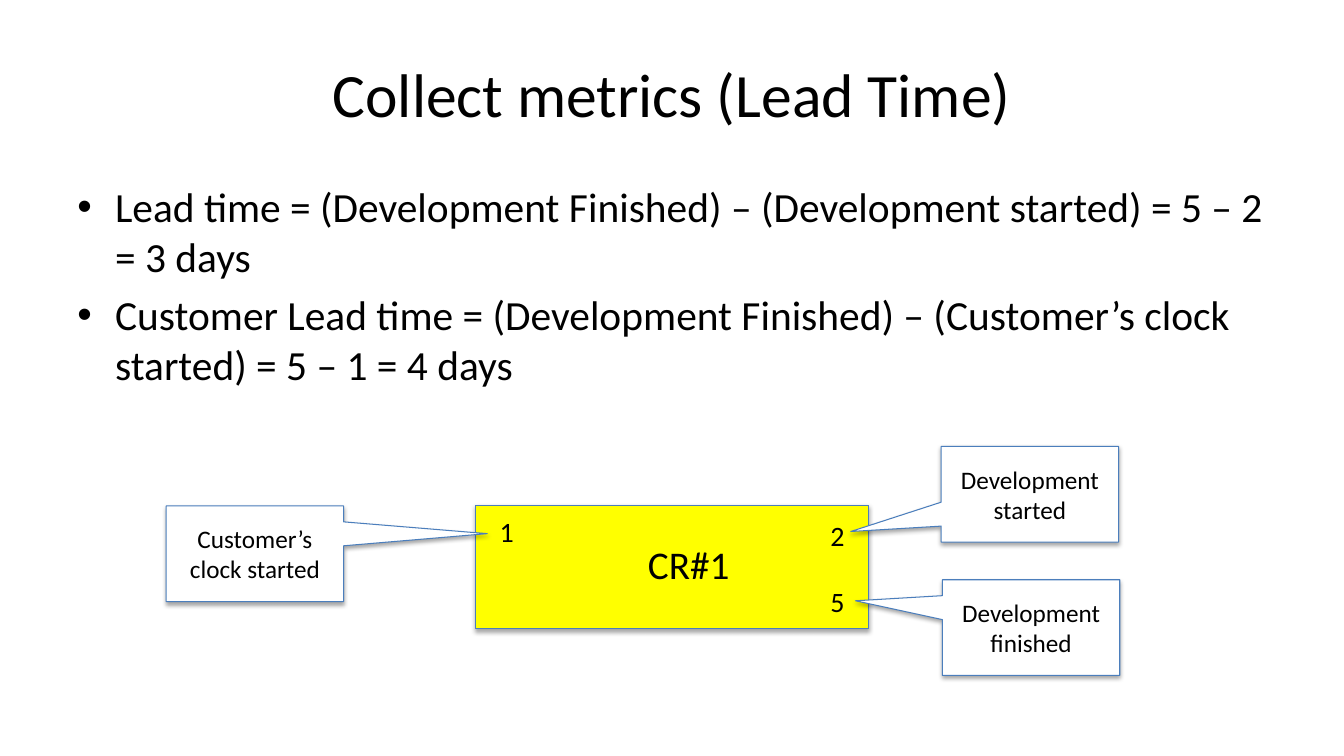
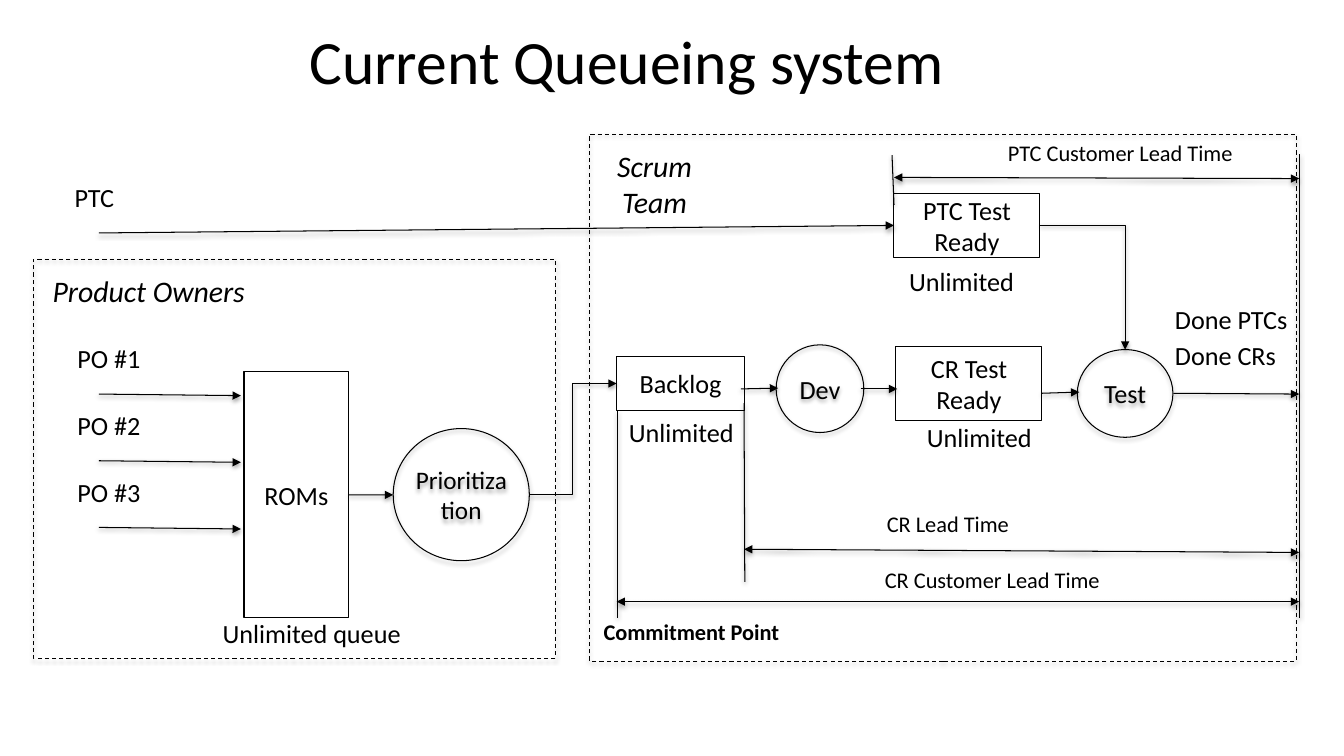
import dataclasses

import lxml.etree
import pptx
import pptx.dml.color
import pptx.enum.dml
import pptx.enum.shapes
import pptx.enum.text
import pptx.oxml
import pptx.oxml.ns
import pptx.util

Cm = pptx.util.Cm
Pt = pptx.util.Pt
RGB = pptx.dml.color.RGBColor.from_string
qn = pptx.oxml.ns.qn
SHAPE = pptx.enum.shapes.MSO_SHAPE
CONNECTOR = pptx.enum.shapes.MSO_CONNECTOR
ALIGN = pptx.enum.text.PP_ALIGN
ANCHOR = pptx.enum.text.MSO_ANCHOR
FIT = pptx.enum.text.MSO_AUTO_SIZE


@dataclasses.dataclass(frozen=True)
class Theme:
    font: str = "Calibri"
    ink: str = "000000"
    outline: str = "4B7EBC"
    card: str = "FFFF00"
    callout: str = "FFFFFF"
    title: float = 44
    body: float = 29.6
    card_name: float = 28
    zone: float = 21.3
    day: float = 20
    label: float = 18.7
    note: float = 18
    measure: float = 16
    line: float = 0.75
    shadow: str = (
        '<a:effectLst xmlns:a="http://schemas.openxmlformats.org/drawingml/2006/main">'
        '<a:outerShdw blurRad="40000" dist="{}" dir="5400000" rotWithShape="0">'
        '<a:srgbClr val="000000"><a:alpha val="{}"/></a:srgbClr>'
        "</a:outerShdw></a:effectLst>"
    )


theme = Theme()
LABEL = {"auto_size": FIT.SHAPE_TO_FIT_TEXT, "word_wrap": True}
TAG = {"auto_size": FIT.SHAPE_TO_FIT_TEXT, "word_wrap": False}
CENTRED = {"word_wrap": True, "vertical_anchor": ANCHOR.MIDDLE}
TIGHT = CENTRED | dict.fromkeys(
    ["margin_left", "margin_top", "margin_right", "margin_bottom"], 0)


def add_part(shapes, box, texts=(), size=theme.label, kind=None, frame=LABEL,
             align=ALIGN.LEFT, font=None, fill=None, outline=theme.ink, shadow=False):
    lengths = [Cm(value) for value in box]
    if kind is None:
        part = shapes.add_textbox(*lengths)
    else:
        part = shapes.add_shape(kind, *lengths)
        if fill:
            part.fill.solid()
            part.fill.fore_color.rgb = RGB(fill)
        else:
            part.fill.background()
        part.line.color.rgb = RGB(outline)
        part.line.width = Pt(theme.line)
        if shadow:
            part._element.spPr.append(pptx.oxml.parse_xml(theme.shadow.format(23000, 35000)))
        else:
            part.shadow.inherit = False
    for name, value in frame.items():
        setattr(part.text_frame, name, value)
    for index, text in enumerate(texts):
        paragraph = part.text_frame.add_paragraph() if index else part.text_frame.paragraphs[0]
        paragraph.alignment = align
        run = paragraph.add_run()
        run.text = text
        style = {"name": theme.font, "size": Pt(size)} | (font or {})
        for name, value in style.items():
            setattr(run.font, name, value)
        run.font.color.rgb = RGB(theme.ink)
    return part


def add_flow(shapes, begin, end, heads=("tailEnd",), kind=CONNECTOR.STRAIGHT):
    flow = shapes.add_connector(kind, *[Cm(value) for value in (*begin, *end)])
    flow.line.color.rgb = RGB(theme.ink)
    flow.line.width = Pt(theme.line)
    properties = flow._element.spPr
    for head in heads:
        lxml.etree.SubElement(properties.find(qn("a:ln")), qn(f"a:{head}"), type="triangle")
    properties.append(pptx.oxml.parse_xml(theme.shadow.format(20000, 38000)))
    return flow


deck = pptx.Presentation()
deck.slide_width, deck.slide_height = Cm(33.87), Cm(19.05)
pages = []
for title, left, top in [("Collect metrics (Lead Time)", 1.7, 0.76),
                         ("Current Queueing system", 0.56, -0.08)]:
    page = deck.slides.add_slide(deck.slide_layouts[6]).shapes
    add_part(page, (left, top, 30.48, 3.18), [title], theme.title,
             frame=CENTRED, align=ALIGN.CENTER)
    pages.append(page)
metrics, queueing = pages

formulas = add_part(metrics, (1.7, 4.45, 30.48, 4.9), [
    "Lead time = (Development Finished) – (Development started) = 5 – 2 = 3 days",
    "Customer Lead time = (Development Finished) – (Customer’s clock started) = 5 – 1 = 4 days",
], theme.body, frame={"word_wrap": True})
for index, formula in enumerate(formulas.text_frame.paragraphs):
    formula.space_before = Pt(5.9 if index else 0)
    layout = formula._p.get_or_add_pPr()
    layout.set("marL", str(Cm(0.95)))
    layout.set("indent", str(Cm(-0.95)))
    lxml.etree.SubElement(layout, qn("a:buFont"), typeface="Arial")
    lxml.etree.SubElement(layout, qn("a:buChar"), char="•")

change_request = metrics.add_group_shape().shapes
add_part(change_request, (11.99, 12.73, 9.91, 3.12), kind=SHAPE.RECTANGLE,
         fill=theme.card, outline=theme.outline, shadow=True)
for text, size, box in [
    ("CR#1", theme.card_name, (16.08, 13.49, 2.72, 1.45)),
    ("1", theme.day, (12.34, 12.83, 1.4, 1.12)),
    ("2", theme.day, (20.68, 12.93, 0.99, 1.12)),
    ("5", theme.day, (20.68, 14.61, 0.99, 1.12)),
]:
    add_part(change_request, box, [text], size)

for text, left, top, tip_x, tip_y in [
    ("Development started", 23.72, 11.25, -1.01, 0.39),
    ("Development finished", 23.75, 14.61, -0.99, -0.28),
    ("Customer’s clock started", 4.19, 12.75, 1.31, -0.21),
]:
    event = add_part(metrics, (left, top, 4.47, 2.41), [text], theme.note,
                     SHAPE.RECTANGULAR_CALLOUT, CENTRED, ALIGN.CENTER,
                     fill=theme.callout, outline=theme.outline, shadow=True)
    event.adjustments[0], event.adjustments[1] = tip_x, tip_y

for team, zone_box, name_box in [
    ("Product Owners", (0.84, 6.53, 13.16, 10.06), (0.84, 6.76, 5.82, 1.17)),
    ("Scrum Team", (14.86, 3.38, 17.81, 13.28), (14.96, 3.61, 3.07, 2.08)),
]:
    zone = add_part(queueing, zone_box, kind=SHAPE.RECTANGLE, shadow=True)
    zone.line.dash_style = pptx.enum.dml.MSO_LINE.DASH
    add_part(queueing, name_box, [team], theme.zone, align=ALIGN.CENTER, font={"italic": True})

queues = {}
for name, box in [
    ("ROMs", (6.15, 9.37, 2.64, 6.2)),
    ("Backlog", (15.54, 8.99, 3.23, 1.35)),
    ("CR Test Ready", (22.58, 8.74, 3.68, 1.85)),
    ("PTC Test Ready", (22.53, 4.88, 3.68, 1.6)),
]:
    queues[name] = add_part(queueing, box, [name], kind=SHAPE.RECTANGLE,
                            frame=CENTRED, align=ALIGN.CENTER)

activities = {}
for name, size, box in [
    ("Prioritization", theme.note, (9.91, 10.8, 3.43, 3.33)),
    ("Dev", theme.label, (19.56, 8.69, 2.21, 2.21)),
    ("Test", theme.label, (27.15, 8.81, 2.41, 2.21)),
]:
    activities[name] = add_part(queueing, box, [name], size, SHAPE.OVAL,
                                TIGHT, ALIGN.CENTER, shadow=True)

for index in range(3):
    top = 8.51 + 1.68 * index
    add_part(queueing, (1.7, top, 2.11, 1.07), [f"PO #{index + 1}"], frame=TAG)
    add_flow(queueing, (2.49, top + 1.42), (6.07, top + 1.46))

for text, left, top, width, frame in [
    ("PTC", 1.63, 4.45, 1.52, TAG),
    ("Unlimited queue", 5.36, 15.42, 5.64, LABEL),
    ("Unlimited", 15.6, 10.36, 3.33, TAG),
    ("Unlimited", 23.11, 10.49, 3.18, TAG),
    ("Unlimited", 22.66, 6.55, 3.18, TAG),
    ("Done PTCs", 29.36, 7.52, 3.68, LABEL),
    ("Done CRs", 29.36, 8.43, 3.23, LABEL),
]:
    add_part(queueing, (left, top, width, 1.07), [text], frame=frame)

for text, left, top, width, bold in [
    ("PTC Customer Lead Time", 25.15, 3.38, 6.25, False),
    ("CR Lead Time", 22.1, 12.73, 3.63, False),
    ("CR Customer Lead Time", 22.05, 14.15, 5.99, False),
    ("Commitment Point", 14.96, 15.44, 5, True),
]:
    add_part(queueing, (left, top, width, 0.94), [text], theme.measure,
             frame=TAG, font={"bold": bold})

done = 32.74
for heads, spans in [
    (("tailEnd",), [
        ((18.67, 9.8), (19.61, 9.78)),
        ((21.69, 9.8), (22.61, 9.8)),
        ((26.24, 9.91), (27.2, 9.88)),
        ((29.57, 9.91), (done, 9.93)),
    ]),
    (("headEnd", "tailEnd"), [
        ((22.53, 4.47), (done, 4.5)),
        ((18.75, 13.84), (done, 13.92)),
        ((15.54, 15.16), (done, 15.16)),
    ]),
    ((), [
        ((22.48, 3.91), (22.53, 5.16)),
        ((18.75, 10.16), (18.77, 14.66)),
        ((15.57, 10.36), (15.57, 15.57)),
        ((done, 3.89), (done, 15.57)),
    ]),
]:
    for begin, end in spans:
        add_flow(queueing, begin, end, heads)

ptc_arrival = add_flow(queueing, (2.49, 5.87), (22.53, 5.68))
ptc_arrival.end_connect(queues["PTC Test Ready"], 1)
prioritizing = add_flow(queueing, (8.79, 12.47), (9.91, 12.47))
prioritizing.begin_connect(queues["ROMs"], 3)
commitment = add_flow(queueing, (13.34, 12.47), (15.54, 9.66), kind=CONNECTOR.ELBOW)
commitment.end_connect(queues["Backlog"], 1)
ptc_testing = add_flow(queueing, (26.21, 5.68), (28.35, 8.81), kind=CONNECTOR.ELBOW)
ptc_testing._element.spPr.find(qn("a:prstGeom")).set("prst", "bentConnector2")
ptc_testing.begin_connect(queues["PTC Test Ready"], 3)
ptc_testing.end_connect(activities["Test"], 0)

deck.save("out.pptx")
